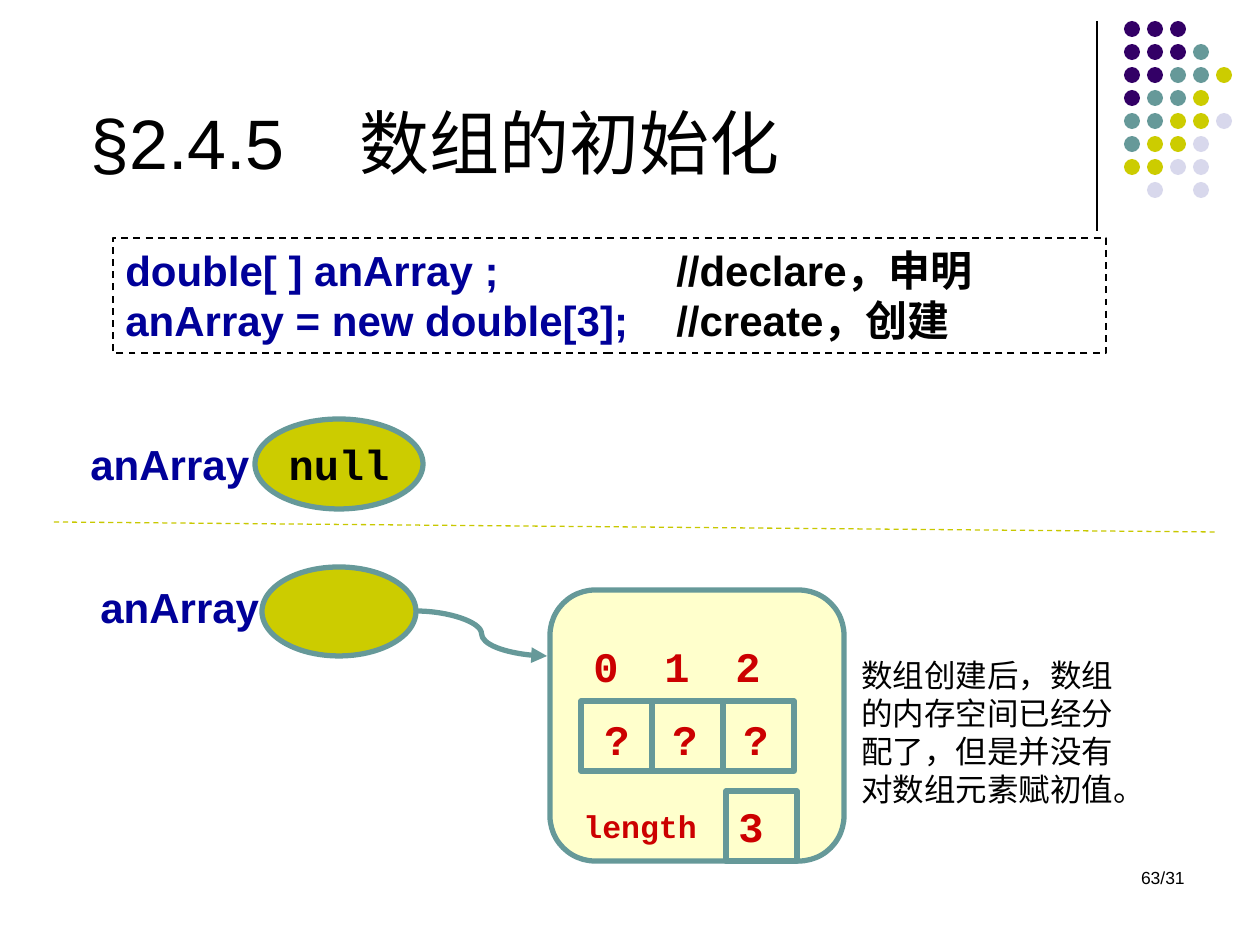
"""Build the slide on initialising an array."""
from lxml.etree import SubElement
from pptx import Presentation
from pptx.dml.color import RGBColor
from pptx.enum.dml import MSO_LINE
from pptx.enum.shapes import MSO_CONNECTOR as CONN, MSO_SHAPE as SHAPE
from pptx.enum.text import MSO_ANCHOR as ANCHOR, PP_ALIGN as ALIGN
from pptx.oxml.ns import qn
from pptx.util import Emu, Pt

SCALE = 914400 / 126
COLORS = {
    "purple": "330066", "teal": "669999", "olive": "CCCC00", "lilac": "D8D8EC",
    "black": "000000", "navy": "000099", "red": "CC0000", "cream": "FFFFCC",
    "divider": "C8C800",
}
CJK = "Noto Sans CJK SC"
TITLE = {"size": 40, "name": "Arial", "color": "black"}
NOTE = {"size": 18, "name": CJK, "color": "black"}
PAGE = {"size": 10, "name": "Arial", "color": "black"}
CODE = {"size": 24, "name": "Arial", "bold": True, "color": "navy"}
VALUE = {"size": 24, "name": "Courier New", "bold": True, "color": "red"}
DOTS = ["PPP", "PPPT", "PPTTO", "PTTO", "TTOOL", "TOOL", "OOLL", " L L"]
DOT_COLORS = {"P": "purple", "T": "teal", "O": "olive", "L": "lilac"}


def px(n):
    """Turn pixels into EMU."""
    return Emu(round(n * SCALE))


def rgb(name):
    """Look up a named colour."""
    return RGBColor.from_string(COLORS[name])


def style_line(line, color, width, dash=None):
    """Set the colour, width and dash of a line."""
    line.color.rgb = rgb(color)
    line.width = Pt(width)
    if dash:
        line.dash_style = dash


def add_run(p, text, fmt):
    """Add a run with the given format."""
    r = p.add_run()
    r.text = text
    values = {**fmt, "size": Pt(fmt["size"])}
    r.font.color.rgb = rgb(values.pop("color"))
    for key, value in values.items():
        setattr(r.font, key, value)
    SubElement(r.font._element, qn("a:ea")).set("typeface", CJK)


def fill_text(sp, lines, anchor=ANCHOR.TOP, align=ALIGN.LEFT, wrap=True, tab=None):
    """Write lines, each a list of (text, format) runs, into a shape."""
    tf = sp.text_frame
    tf.word_wrap = wrap
    tf.vertical_anchor = anchor
    for i, runs in enumerate(lines):
        p = tf.add_paragraph() if i else tf.paragraphs[0]
        p.alignment = align
        if tab:
            stops = SubElement(p._p.get_or_add_pPr(), qn("a:tabLst"))
            SubElement(stops, qn("a:tab"), pos=str(px(tab)), algn="l")
        for text, fmt in runs:
            add_run(p, text, fmt)


def add_text(slide, box, text, fmt, **layout):
    """Add a text box holding one run."""
    sp = slide.shapes.add_textbox(*map(px, box))
    fill_text(sp, [[(text, fmt)]], **layout)


def add_shape(slide, kind, box, fill=None, line=None, width=3, dash=None):
    """Add a preset shape."""
    sp = slide.shapes.add_shape(kind, *map(px, box))
    sp.shadow.inherit = False
    if fill:
        sp.fill.solid()
        sp.fill.fore_color.rgb = rgb(fill)
    else:
        sp.fill.background()
    if line:
        style_line(sp.line, line, width, dash)
    else:
        sp.line.fill.background()
    return sp


def add_line(slide, kind, ends, color, width, dash=None, arrow=False):
    """Add a connector, with an arrowhead if wanted."""
    c = slide.shapes.add_connector(kind, *map(px, ends))
    style_line(c.line, color, width, dash)
    if arrow:
        SubElement(c.line._get_or_add_ln(), qn("a:tailEnd"), type="triangle")
    SubElement(c._element.spPr, qn("a:effectLst"))


def add_decoration(slide):
    """Draw the dot pattern and the upright rule."""
    add_line(slide, CONN.STRAIGHT, (1097, 21, 1097, 231), "black", 0.75)
    for row, marks in enumerate(DOTS):
        for col, mark in enumerate(marks):
            if mark in DOT_COLORS:
                box = (1124 + 23 * col, 21 + 23 * row, 16, 16)
                add_shape(slide, SHAPE.OVAL, box, DOT_COLORS[mark])


def add_code(slide):
    """Draw the dashed box with the two statements."""
    sp = add_shape(slide, SHAPE.RECTANGLE, (113, 238, 993, 115),
                   line="black", width=1, dash=MSO_LINE.DASH)
    comment = {**CODE, "color": "black"}
    fill_text(sp, [
        [("double[ ] anArray ;\t", CODE), ("//declare，申明", comment)],
        [("anArray = new double[3];\t", CODE), ("//create，创建", comment)],
    ], tab=551)


def add_declared(slide):
    """Draw the variable that holds null."""
    add_text(slide, (78, 432, 198, 63), "anArray", CODE, wrap=False)
    sp = add_shape(slide, SHAPE.OVAL, (255, 419, 168, 90), "olive", "teal")
    fill_text(sp, [[("null", {**VALUE, "color": "black"})]],
              anchor=ANCHOR.MIDDLE, align=ALIGN.CENTER, wrap=False)


def add_created(slide):
    """Draw the variable that points to the array object."""
    add_text(slide, (88, 575, 192, 63), "anArray", CODE)
    add_shape(slide, SHAPE.OVAL, (262, 567, 154, 89), "olive", "teal")
    add_line(slide, CONN.CURVE, (416, 611, 547, 656), "teal", 3, arrow=True)
    add_shape(slide, SHAPE.ROUNDED_RECTANGLE, (550, 590, 294, 271), "cream", "teal")
    for i, mark_x in enumerate((592, 660, 731)):
        x = 581 + 71 * i
        add_shape(slide, SHAPE.RECTANGLE, (x, 701, 71, 70), line="teal")
        add_text(slide, (x, 630, 71, 71), str(i), VALUE,
                 anchor=ANCHOR.MIDDLE, wrap=False)
        add_text(slide, (mark_x, 707, 50, 63), "?", VALUE, align=ALIGN.CENTER)
    add_text(slide, (571, 801, 141, 50), "length", {**VALUE, "size": 18}, wrap=False)
    sp = add_shape(slide, SHAPE.RECTANGLE, (726, 791, 71, 70), line="teal")
    fill_text(sp, [[("3", VALUE)]], anchor=ANCHOR.MIDDLE, wrap=False)


def main():
    """Build and save the slide."""
    prs = Presentation()
    prs.slide_width, prs.slide_height = px(1260), px(945)
    slide = prs.slides.add_slide(prs.slide_layouts[6])
    add_decoration(slide)
    add_text(slide, (78, 78, 974, 127), "§2.4.5\t数组的初始化", TITLE,
             anchor=ANCHOR.MIDDLE, tab=269)
    add_code(slide)
    add_declared(slide)
    add_line(slide, CONN.STRAIGHT, (54, 522, 1216, 532), "divider", 0.75, MSO_LINE.DASH)
    add_created(slide)
    add_text(slide, (849, 650, 300, 165),
             "数组创建后，数组的内存空间已经分配了，但是并没有对数组元素赋初值。", NOTE)
    add_text(slide, (903, 861, 294, 63), "63/31", PAGE, align=ALIGN.RIGHT)
    prs.save("out.pptx")


if __name__ == "__main__":
    main()
